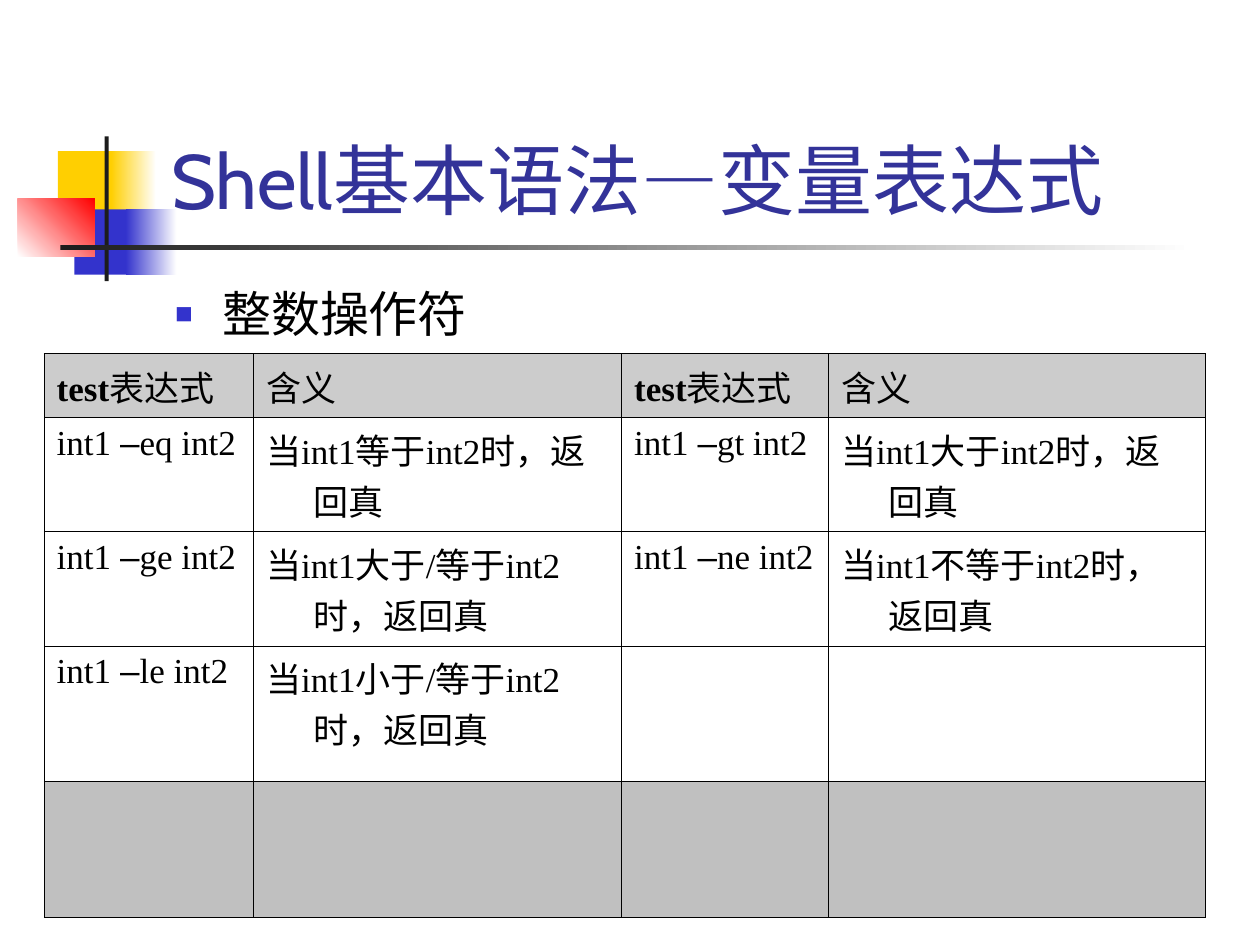
from dataclasses import dataclass

from lxml.etree import SubElement
from pptx import Presentation
from pptx.dml.color import RGBColor as RGB
from pptx.enum.shapes import MSO_SHAPE as SHAPE
from pptx.enum.text import MSO_ANCHOR as ANCHOR
from pptx.oxml.ns import qn
from pptx.util import Cm, Pt


@dataclass(frozen=True)
class Theme:
    white: str = "FFFFFF"
    black: str = "000000"
    ink: str = "1C1C1C"
    yellow: str = "FFCF01"
    blue: str = "3333CC"
    red: str = "FF0000"
    title: str = "333399"
    header_fill: str = "CCCCCC"
    footer_fill: str = "C0C0C0"
    heading_font: str = "Cabin"
    dash_font: str = "Arial"
    table_font: str = "Times New Roman"
    title_size: int = 44
    body_size: int = 28
    cell_size: int = 20
    hanging: float = 0.95


class SlideBuilder:
    def __init__(self, slide, theme):
        self.slide = slide
        self.theme = theme

    def block(self, x, y, w, h, color, end=None, angle=0):
        """Borderless rectangle, fading from color to end when end is given."""
        s = self.slide.shapes.add_shape(SHAPE.RECTANGLE, Cm(x), Cm(y), Cm(w), Cm(h))
        s.shadow.inherit = False
        s.line.fill.background()
        if end is None:
            s.fill.solid()
            s.fill.fore_color.rgb = RGB.from_string(color)
            return
        s.fill.gradient()
        s.fill.gradient_angle = angle
        for stop, shade in zip(s.fill.gradient_stops, (color, end)):
            stop.color.rgb = RGB.from_string(shade)

    def run(self, p, text, font, size, color, bold=False):
        r = p.add_run()
        r.text = text
        r.font.name = font
        r.font.size = Pt(size)
        r.font.bold = bold
        r.font.color.rgb = RGB.from_string(color)

    def text_box(self, x, y, w, h, anchor):
        """Add a wrapping text box and return its first paragraph."""
        tf = self.slide.shapes.add_textbox(Cm(x), Cm(y), Cm(w), Cm(h)).text_frame
        tf.word_wrap = True
        tf.vertical_anchor = anchor
        return tf.paragraphs[0]

    def hang(self, p):
        """Give the paragraph a hanging indent and return its properties."""
        pPr = p._p.get_or_add_pPr()
        pPr.set("marL", str(Cm(self.theme.hanging)))
        pPr.set("indent", str(-Cm(self.theme.hanging)))
        pPr.set("hangingPunct", "0")
        return pPr

    def title(self, parts):
        t = self.theme
        p = self.text_box(3.2, 0.6, 21.64, 4.06, ANCHOR.BOTTOM)
        for text, font in parts:
            self.run(p, text, font, t.title_size, t.title)

    def bullet(self, text):
        t = self.theme
        p = self.text_box(3.28, 5.6, 10.59, 11.43, ANCHOR.TOP)
        p.space_before = Pt(7)
        pPr = self.hang(p)
        SubElement(SubElement(pPr, qn("a:buClr")), qn("a:srgbClr")).set("val", t.blue)
        SubElement(pPr, qn("a:buSzPct")).set("val", "60000")
        SubElement(pPr, qn("a:buFont")).set("typeface", t.dash_font)
        SubElement(pPr, qn("a:buChar")).set("char", "■")
        self.run(p, text, t.heading_font, t.body_size, t.black)

    def border(self, cell, side, width):
        ln = SubElement(cell._tc.get_or_add_tcPr(), qn(f"a:ln{side}"), w=str(Pt(width)))
        fill = SubElement(ln, qn("a:solidFill"))
        SubElement(fill, qn("a:srgbClr")).set("val", self.theme.black)

    def cell(self, cell, parts, fill, anchor):
        t = self.theme
        cell.vertical_anchor = anchor
        if fill:
            cell.fill.solid()
            cell.fill.fore_color.rgb = RGB.from_string(fill)
        else:
            cell.fill.background()
        if parts:
            p = cell.text_frame.paragraphs[0]
            self.hang(p)
            for text, font, bold in parts:
                self.run(p, text, font, t.cell_size, t.black, bold)

    def table(self, x, y, col_widths, row_heights, rows, v_lines, h_lines):
        t = self.theme
        table = self.slide.shapes.add_table(
            len(row_heights), len(col_widths), Cm(x), Cm(y),
            Cm(sum(col_widths)), Cm(sum(row_heights))).table
        table.first_row = table.horz_banding = False
        for col, width in zip(table.columns, col_widths):
            col.width = Cm(width)
        for row, height in zip(table.rows, row_heights):
            row.height = Cm(height)
        fills = {0: t.header_fill, len(rows) - 1: t.footer_fill}
        for i, row in enumerate(rows):
            anchor = ANCHOR.TOP if i else ANCHOR.MIDDLE
            for j, parts in enumerate(row):
                cell = table.cell(i, j)
                edges = (v_lines[j], v_lines[j + 1], h_lines[i], h_lines[i + 1])
                for side, width in zip("LRTB", edges):
                    self.border(cell, side, width)
                self.cell(cell, parts, fills.get(i), anchor)


def comparison(theme, operator, meaning):
    """Cell contents for one integer operator and its meaning."""
    font = theme.table_font
    expression = [("int1 ", font, False), ("–", theme.dash_font, False),
                  (f"{operator} int2", font, False)]
    return [expression, [(f"当int1{meaning}int2时，返回真", font, False)]]


def main():
    prs = Presentation()
    prs.slide_width, prs.slide_height = Cm(25.4), Cm(19.05)
    t = Theme()
    b = SlideBuilder(prs.slides.add_slide(prs.slide_layouts[6]), t)

    b.block(1.17, 3.05, 1.22, 1.32, t.yellow)
    b.block(2.24, 3.05, 0.91, 1.32, t.yellow, t.white)
    b.block(1.5, 4.22, 1.17, 1.32, t.blue)
    b.block(2.54, 4.22, 1.02, 1.32, t.blue, t.white)
    b.block(0.36, 4.01, 1.55, 1.17, t.white, t.red, angle=45)
    b.block(2.11, 2.75, 0.08, 2.92, t.ink)
    b.block(1.22, 4.94, 22.86, 0.1, t.ink, t.white)

    b.title([("Shell基本语法", t.heading_font), ("—", t.dash_font),
             ("变量表达式", t.heading_font)])
    b.bullet("整数操作符")

    header = [[("test", t.table_font, True), ("表达式", t.table_font, False)],
              [("含义", t.table_font, False)]]
    blank = [None, None]
    rows = [
        header * 2,
        comparison(t, "eq", "等于") + comparison(t, "gt", "大于"),
        comparison(t, "ge", "大于/等于") + comparison(t, "ne", "不等于"),
        comparison(t, "le", "小于/等于") + blank,
        blank * 2,
    ]
    thin, medium, thick = 0.34, 0.45, 0.96
    b.table(0.89, 7.13, [4.22, 7.42, 4.17, 7.6], [1.29, 2.3, 2.3, 2.74, 2.74], rows,
            v_lines=[thin, thin, thick, thin, thin],
            h_lines=[medium, medium, thin, thin, medium, thin])

    prs.save("out.pptx")


if __name__ == "__main__":
    main()
